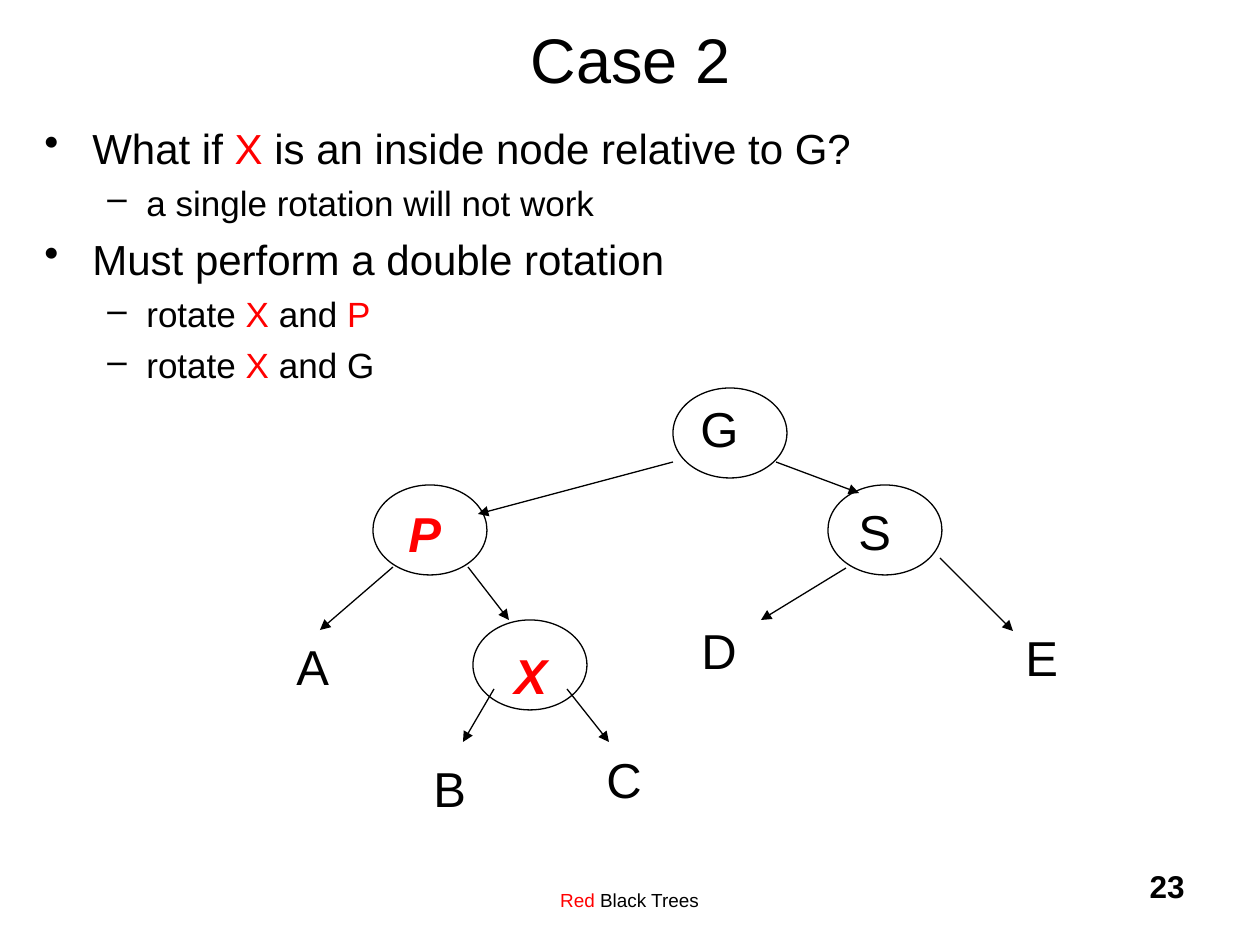
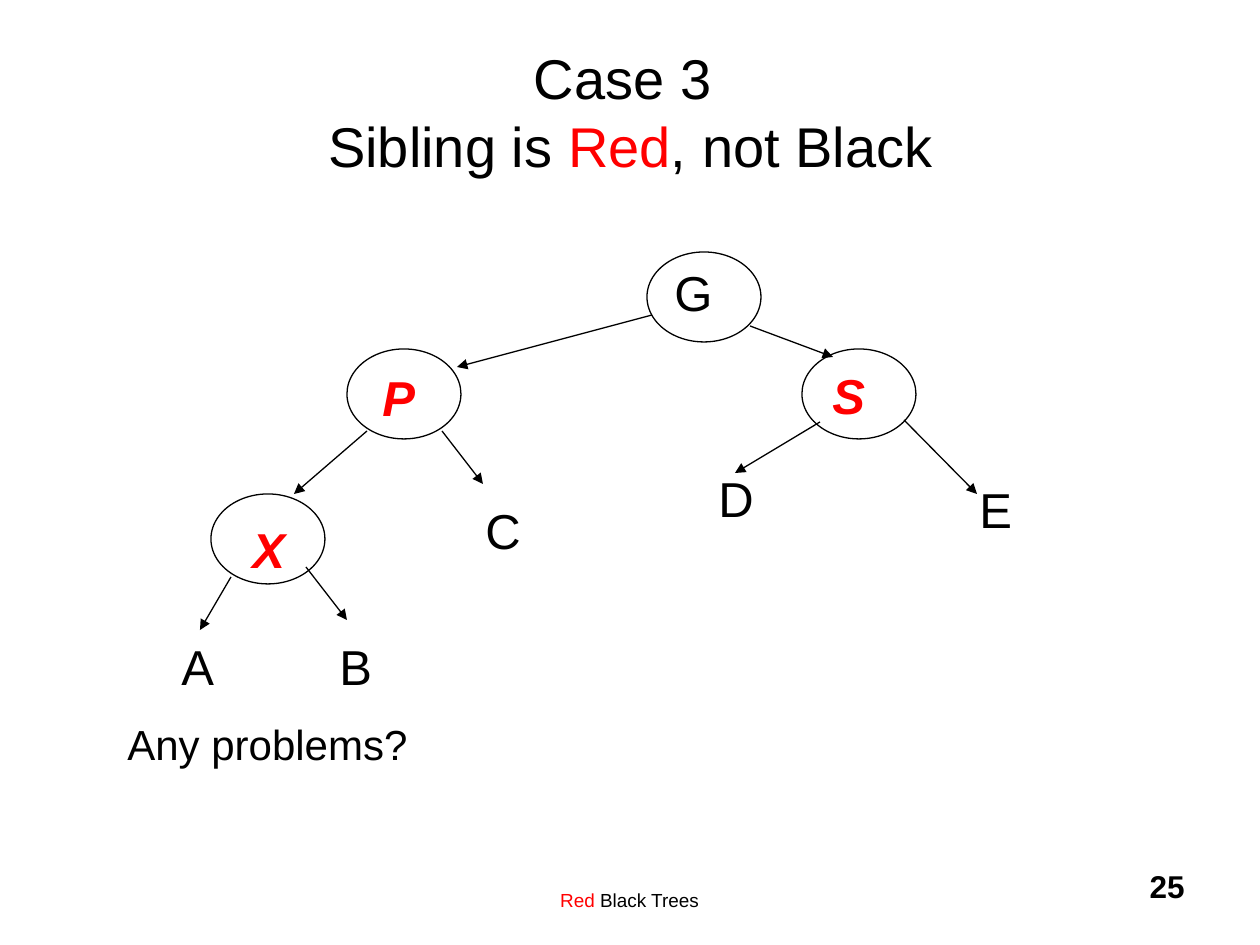
from lxml.etree import SubElement as Sub
from pptx import Presentation
from pptx.dml.color import RGBColor as Rgb
from pptx.enum.shapes import MSO_CONNECTOR as Link, MSO_SHAPE as Form
from pptx.enum.text import MSO_ANCHOR as Anchor, MSO_AUTO_SIZE as Fit, PP_ALIGN as Align
from pptx.oxml.ns import qn
from pptx.util import Pt

PX = 914400 / 126
HUES = {"ink": "000000", "red": "FF0000"}
FACE = "Arial"
OVAL = (114, 90)
TITLE = {"size": Pt(36)}
FOOT = {"size": Pt(10.8)}
PAGE = {"size": Pt(18), "bold": True}
NODE = {"size": Pt(28)}
HOT = {"size": Pt(28), "bold": True, "italic": True}
ASK = {"size": Pt(24)}
LEVELS = [
    {"mark": "•", "left": 48, "hang": 48, "size": 24, "gap": 6},
    {"mark": "–", "left": 102, "hang": 39, "size": 20, "gap": 5},
]

POINTS = [
    (0, "What if *X* is an inside node relative to G?"),
    (1, "a single rotation will not work"),
    (0, "Must perform a double rotation"),
    (1, "rotate *X* and *P*"),
    (1, "rotate *X* and G"),
]

ROOTS = {"G": (0, 0), "P": (-300, 97), "S": (155, 97)}
NUDGE = {"G": (15, 4), "P": (23, 12), "S": (18, 10), "X": (29, 19)}
EDGES = [
    (103, 74, 186, 105),
    (-280, 179, -353, 242),
    (-205, 179, -164, 232),
]

INSIDE = {
    "at": (673, 388),
    "hot": "PX",
    "nodes": {**ROOTS, "X": (-200, 232)},
    "leaves": {"A": (-389, 242), "B": (-252, 364), "C": (-79, 355),
               "D": (16, 226), "E": (340, 233)},
    "edges": EDGES + [
        (0, 74, -195, 126),
        (267, 170, 340, 243),
        (173, 180, 88, 232),
        (-179, 301, -210, 354),
        (-106, 301, -64, 354),
    ],
}
OUTSIDE = {
    "at": (647, 252),
    "hot": "PSX",
    "nodes": {**ROOTS, "X": (-436, 242)},
    "leaves": {"A": (-478, 378), "B": (-320, 378), "C": (-174, 242),
               "D": (59, 210), "E": (320, 221)},
    "edges": EDGES + [
        (5, 63, -190, 115),
        (257, 168, 330, 242),
        (173, 170, 88, 221),
        (-416, 325, -447, 378),
        (-341, 315, -300, 368),
    ],
}


def px(*sizes):
    return [round(size * PX) for size in sizes]


def hue(name):
    return Rgb.from_string(HUES[name])


def write(para, text, style):
    for i, piece in enumerate(text.split("*")):
        for j, part in enumerate(piece.split("\n")):
            if j:
                para.add_line_break()
            if not part:
                continue
            run = para.add_run()
            run.text = part
            run.font.name = FACE
            run.font.color.rgb = hue("red" if i % 2 else "ink")
            for key, value in style.items():
                setattr(run.font, key, value)


def put_text(slide, box, text, style, align=Align.LEFT, **frame):
    area = slide.shapes.add_textbox(*px(*box)).text_frame
    for key, value in {"word_wrap": True, **frame}.items():
        setattr(area, key, value)
    para = area.paragraphs[0]
    para.alignment = align
    write(para, text, style)


def put_tag(slide, box, text, style):
    put_text(slide, box, text, style, word_wrap=False, auto_size=Fit.SHAPE_TO_FIT_TEXT)


def put_frame(slide, top, title, style, page):
    put_text(slide, (388, 861, 483, 63), "*Red* Black Trees", FOOT, Align.CENTER,
             margin_top=px(28)[0])
    put_text(slide, (935, 861, 262, 63), page, PAGE, Align.RIGHT)
    put_text(slide, (95, top, 1071, 158), title, style, Align.CENTER,
             vertical_anchor=Anchor.MIDDLE)


def put_list(slide, box, points):
    area = slide.shapes.add_textbox(*px(*box)).text_frame
    area.word_wrap = True
    for i, (depth, text) in enumerate(points):
        level = LEVELS[depth]
        para = area.add_paragraph() if i else area.paragraphs[0]
        para.level = depth
        props = para._p.get_or_add_pPr()
        left, hang = px(level["left"], -level["hang"])
        props.set("marL", str(left))
        props.set("indent", str(hang))
        Sub(props, qn("a:buChar"), char=level["mark"])
        if i:
            para.space_before = Pt(level["gap"])
        write(para, text, {"size": Pt(level["size"])})


def put_oval(slide, x, y):
    oval = slide.shapes.add_shape(Form.OVAL, *px(x, y, *OVAL))
    oval.shadow.inherit = False
    oval.fill.background()
    oval.line.color.rgb = hue("ink")
    oval.line.width = Pt(0.75)


def put_arrow(slide, ends):
    arrow = slide.shapes.add_connector(Link.STRAIGHT, *px(*ends))
    arrow.line.color.rgb = hue("ink")
    arrow.line.width = Pt(0.75)
    Sub(arrow.line._get_or_add_ln(), qn("a:tailEnd"), type="triangle")
    Sub(arrow._element.spPr, qn("a:effectLst"))


def put_tree(slide, tree):
    left, top = tree["at"]
    for name, (x, y) in tree["nodes"].items():
        put_oval(slide, left + x, top + y)
        dx, dy = NUDGE[name]
        hot = name in tree["hot"]
        put_tag(slide, (left + x + dx, top + y + dy, 60, 72),
                f"*{name}*" if hot else name, HOT if hot else NODE)
    for name, (x, y) in tree["leaves"].items():
        put_tag(slide, (left + x, top + y, 60, 72), name, NODE)
    for x1, y1, x2, y2 in tree["edges"]:
        put_arrow(slide, (left + x1, top + y1, left + x2, top + y2))


def main():
    deck = Presentation()
    deck.slide_width, deck.slide_height = px(1260, 945)
    blank = deck.slide_layouts[6]

    slide = deck.slides.add_slide(blank)
    put_frame(slide, -21, "Case 2", TITLE, "23")
    put_list(slide, (32, 116, 1197, 756), POINTS)
    put_tree(slide, INSIDE)

    slide = deck.slides.add_slide(blank)
    put_frame(slide, 32, "Case 3 \nSibling is *Red*, not Black", {"size": Pt(32)}, "25")
    put_tree(slide, OUTSIDE)
    put_tag(slide, (115, 712, 305, 63), "Any problems?", ASK)

    deck.save("out.pptx")


if __name__ == "__main__":
    main()
